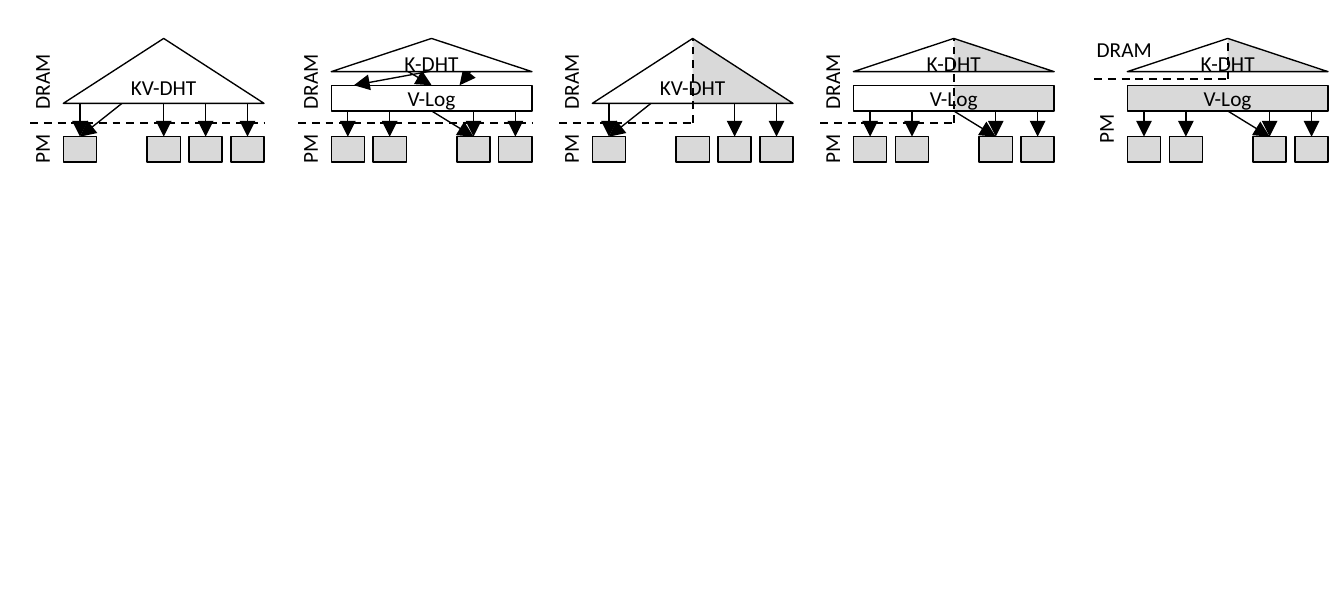
from dataclasses import dataclass

from pptx import Presentation
from pptx.dml.color import RGBColor
from pptx.enum.dml import MSO_LINE_DASH_STYLE as Dash
from pptx.enum.shapes import MSO_CONNECTOR as Connector, MSO_SHAPE as Shape
from pptx.enum.text import MSO_ANCHOR as Anchor, MSO_AUTO_SIZE as AutoSize, PP_ALIGN as Align
from pptx.oxml.ns import qn
from pptx.util import Cm, Pt
from lxml.etree import SubElement

BLACK, WHITE, GRAY = "000000", "FFFFFF", "D9D9D9"
WIDTH, CENTER = 2.66, 1.33
BLOCK_WIDTH, BAR_HEIGHT = 0.44, 0.34
PITCH = (WIDTH - BLOCK_WIDTH) / 4
APEX, LOG_TOP, BLOCK_TOP = 0.51, 1.13, 1.81
TABLE_HEIGHT, KEY_HEIGHT = 0.86, 0.44
DASH_START, LABEL_CENTER = -0.44, -0.29
FONT = {"name": "Calibri", "size": Pt(8)}
FRAME = {"margin_left": 0, "margin_right": 0, "margin_top": 0,
         "margin_bottom": 0, "vertical_anchor": Anchor.MIDDLE}
KEY_ARROWS = [(1.33, 0.94, 0.3, 1.13), (0.66, 0.74, 1.33, 1.13), (2.01, 0.74, 1.7, 1.13)]


@dataclass
class Panel:
    left: float
    has_log: bool
    arrows: list
    split: bool = False
    table_fill: str = ""
    log_fill: str = ""
    boundary: float = 1.63
    dram: tuple = (LABEL_CENTER, 1.08, 270)
    pm_middle: float = 1.97


LOG_LINKS = [(0, 0), (1, 1), (2, 3), (3, 3), (4, 4)]
PANELS = [
    Panel(0.84, False, [(0, 0), (1, 0), (2, 2), (3, 3), (4, 4)], table_fill=WHITE),
    Panel(4.39, True, LOG_LINKS, table_fill=WHITE, log_fill=WHITE),
    Panel(7.85, False, [(0, 0), (1, 0), (3, 3), (4, 4)], split=True),
    Panel(11.31, True, LOG_LINKS, split=True),
    Panel(14.94, True, LOG_LINKS, split=True, log_fill=GRAY,
          boundary=1.04, dram=(-0.04, 0.65, 0), pm_middle=1.71),
]


def color(value):
    return RGBColor.from_string(value)


def apply(target, values):
    for name, value in values.items():
        setattr(target, name, value)


def write(shape, text):
    apply(shape.text_frame, FRAME)
    paragraph = shape.text_frame.paragraphs[0]
    paragraph.text = text
    paragraph.alignment = Align.CENTER
    apply(paragraph.font, FONT)
    paragraph.font.color.rgb = color(BLACK)


def add_figure(slide, kind, left, top, width, height, fill="", outlined=True, text=""):
    shape = slide.shapes.add_shape(kind, Cm(left), Cm(top), Cm(width), Cm(height))
    shape.shadow.inherit = False
    if fill:
        shape.fill.solid()
        shape.fill.fore_color.rgb = color(fill)
    else:
        shape.fill.background()
    if outlined:
        shape.line.color.rgb = color(BLACK)
        shape.line.width = Pt(0.5)
    else:
        shape.line.fill.background()
    if text:
        write(shape, text)


def add_label(slide, text, center, middle, width, rotation):
    box = slide.shapes.add_textbox(Cm(center - width / 2), Cm(middle - BAR_HEIGHT / 2),
                                   Cm(width), Cm(BAR_HEIGHT))
    box.rotation = rotation
    write(box, text)
    apply(box.text_frame, {"word_wrap": False, "auto_size": AutoSize.SHAPE_TO_FIT_TEXT})


def add_line(slide, x1, y1, x2, y2, width):
    line = slide.shapes.add_connector(Connector.STRAIGHT, Cm(x1), Cm(y1), Cm(x2), Cm(y2))
    line.line.color.rgb = color(BLACK)
    line.line.width = Pt(width)
    SubElement(line._element.spPr, qn("a:effectLst"))
    return line


def add_arrow(slide, x1, y1, x2, y2):
    arrow = add_line(slide, x1, y1, x2, y2, 0.5)
    SubElement(arrow.line._get_or_add_ln(), qn("a:tailEnd"), type="triangle")


def add_boundary(slide, x1, y1, x2, y2):
    add_line(slide, x1, y1, x2, y2, 0.75).line.dash_style = Dash.DASH


def add_panel(slide, panel):
    left, middle = panel.left, panel.left + CENTER
    height = KEY_HEIGHT if panel.has_log else TABLE_HEIGHT
    arrow_top = LOG_TOP + BAR_HEIGHT if panel.has_log else APEX + height

    if panel.split:
        add_figure(slide, Shape.RIGHT_TRIANGLE, middle, APEX, CENTER, height, GRAY, False)
        if panel.has_log and not panel.log_fill:
            add_figure(slide, Shape.RECTANGLE, middle, LOG_TOP, CENTER, BAR_HEIGHT, GRAY, False)
    boundary_end = middle if panel.split else left + WIDTH
    add_boundary(slide, left + DASH_START, panel.boundary, boundary_end, panel.boundary)

    center, dram_middle, rotation = panel.dram
    add_label(slide, "DRAM", left + center, dram_middle, 0.79, rotation)
    add_label(slide, "PM", left + LABEL_CENTER, panel.pm_middle, 0.51, 270)

    for slot in sorted({end for start, end in panel.arrows} | {0, 1 if panel.has_log else 2}):
        add_figure(slide, Shape.RECTANGLE, left + slot * PITCH, BLOCK_TOP,
                   BLOCK_WIDTH, BAR_HEIGHT, GRAY)
    first = left + BLOCK_WIDTH / 2
    for start, end in panel.arrows:
        add_arrow(slide, first + start * PITCH, arrow_top, first + end * PITCH, BLOCK_TOP)

    if panel.has_log:
        add_figure(slide, Shape.RECTANGLE, left, LOG_TOP, WIDTH, BAR_HEIGHT,
                   panel.log_fill, text="V-Log")
        if not panel.split:
            for x1, y1, x2, y2 in KEY_ARROWS:
                add_arrow(slide, left + x1, y1, left + x2, y2)
    add_figure(slide, Shape.ISOSCELES_TRIANGLE, left, APEX, WIDTH, height,
               panel.table_fill, text="K-DHT" if panel.has_log else "KV-DHT")
    if panel.split:
        add_boundary(slide, middle, panel.boundary, middle, APEX)


def main():
    presentation = Presentation()
    presentation.slide_width = Cm(17.81)
    presentation.slide_height = Cm(8)
    slide = presentation.slides.add_slide(presentation.slide_layouts[6])
    for panel in PANELS:
        add_panel(slide, panel)
    presentation.save("out.pptx")


if __name__ == "__main__":
    main()
